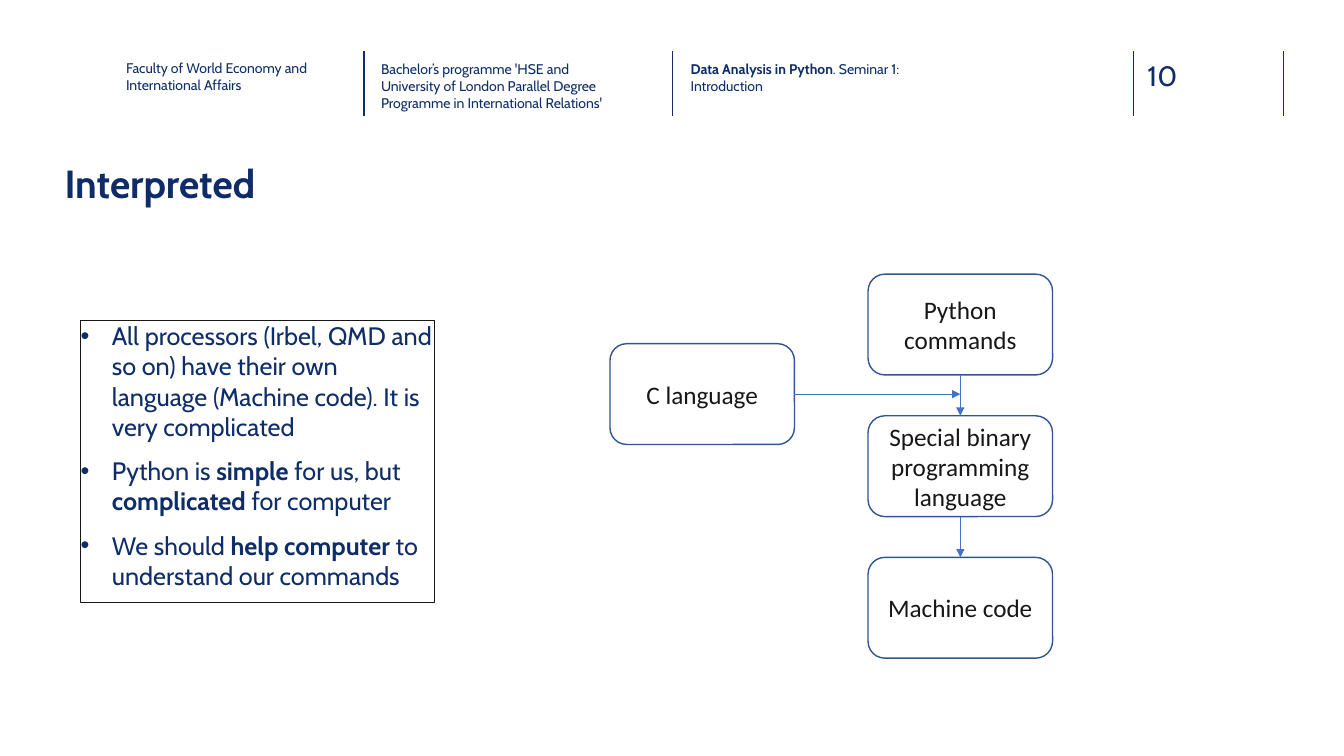
from lxml import etree
from pptx import Presentation
from pptx.dml.color import RGBColor
from pptx.enum.shapes import MSO_CONNECTOR, MSO_SHAPE
from pptx.enum.text import MSO_ANCHOR, PP_ALIGN
from pptx.oxml.ns import qn
from pptx.util import Inches, Pt

STRAIGHT = MSO_CONNECTOR.STRAIGHT
RECT, ROUNDED = MSO_SHAPE.RECTANGLE, MSO_SHAPE.ROUNDED_RECTANGLE
TOP, MIDDLE = MSO_ANCHOR.TOP, MSO_ANCHOR.MIDDLE
LEFT, CENTER = PP_ALIGN.LEFT, PP_ALIGN.CENTER
NAVY, TITLE_NAVY, BODY_NAVY = "102D69", "0F2C68", "0E2D69"
INK, BOX_BLUE, ARROW_BLUE = "181717", "325491", "4472C4"

HEADER_TEXTS = [
    (1.25, 0.59, 2.08, [("Faculty of World Economy and International Affairs", False)]),
    (3.78, 0.6, 2.26, [("Bachelor’s programme 'HSE and University of London Parallel "
                        "Degree Programme in International Relations'", False)]),
    (6.85, 0.6, 2.26, [("Data Analysis in Python", True),
                       (". Seminar 1: Introduction", False)]),
]
BULLETS = [
    [("All processors (Irbel, QMD and so on) have their own language "
      "(Machine code). It is very complicated", False)],
    [("Python is ", False), ("simple", True), (" for us, but ", False),
     ("complicated", True), (" for computer", False)],
    [("We should ", False), ("help computer", True),
     (" to understand our commands", False)],
]
STAGES = ["Python commands", "Special binary programming language", "Machine code"]


def rgb(value):
    return RGBColor.from_string(value)


def add_runs(p, runs, size, color, font="Cabin"):
    for text, bold in runs:
        r = p.add_run()
        r.text = text
        for name, value in {"name": font, "size": Pt(size), "bold": bold}.items():
            setattr(r.font, name, value)
        r.font.color.rgb = rgb(color)


def set_frame(tf, anchor=TOP, bottom=0):
    values = {"word_wrap": True, "vertical_anchor": anchor, "margin_left": 0,
              "margin_right": 0, "margin_top": 0, "margin_bottom": Inches(bottom)}
    for name, value in values.items():
        setattr(tf, name, value)


def add_text(s, x, y, w, h, runs, size, color):
    tf = s.shapes.add_textbox(Inches(x), Inches(y), Inches(w), Inches(h)).text_frame
    set_frame(tf)
    add_runs(tf.paragraphs[0], runs, size, color)


def add_outline(s, kind, x, y, w, h, color, width):
    sp = s.shapes.add_shape(kind, Inches(x), Inches(y), Inches(w), Inches(h))
    sp.shadow.inherit = False
    sp.fill.background()
    sp.line.color.rgb = rgb(color)
    sp.line.width = Pt(width)
    return sp


def add_line(s, x1, y1, x2, y2, color, width, arrow=False):
    line = s.shapes.add_connector(STRAIGHT, Inches(x1), Inches(y1), Inches(x2), Inches(y2))
    line.line.color.rgb = rgb(color)
    line.line.width = Pt(width)
    if arrow:
        etree.SubElement(line.line._get_or_add_ln(), qn("a:tailEnd"), type="triangle")
    etree.SubElement(line._element.spPr, qn("a:effectLst"))
    return line


def add_header(s, y, h):
    for x in (3.61, 6.67, 11.24, 12.73):
        add_line(s, x, y, x, y + h, NAVY, 1)
    for x, top, w, runs in HEADER_TEXTS:
        add_text(s, x, top, w, 0.45, runs, 10, BODY_NAVY)
    add_text(s, 11.38, y + 0.07, 0.73, 0.34, [("10", False)], 20, NAVY)


def add_bullets(s, x, y, w, h):
    tf = add_outline(s, RECT, x, y, w, h, INK, 0.75).text_frame
    set_frame(tf, bottom=0.05)
    for i, runs in enumerate(BULLETS):
        p = tf.add_paragraph() if i else tf.paragraphs[0]
        pPr = p._p.get_or_add_pPr()
        pPr.set("marL", str(Inches(0.31)))
        pPr.set("indent", str(-Inches(0.31)))
        etree.SubElement(pPr, qn("a:buFont"), typeface="Arial")
        etree.SubElement(pPr, qn("a:buChar"), char="•")
        p.alignment = LEFT
        p.space_before = Pt(10 if i else 0)
        add_runs(p, runs, 18, BODY_NAVY)


def add_node(s, x, y, w, h, text):
    sp = add_outline(s, ROUNDED, x, y, w, h, BOX_BLUE, 1)
    tf = sp.text_frame
    tf.word_wrap = True
    tf.vertical_anchor = MIDDLE
    p = tf.paragraphs[0]
    p.alignment = CENTER
    add_runs(p, [(text, False)], 18, INK, "Calibri")
    return sp


def add_flow(s, x, y, w, h):
    node_w, node_h = 1.83, 1
    left, pitch = x + w - node_w, (h - node_h) / 2
    axis = left + node_w / 2
    nodes = [add_node(s, left, y + i * pitch, node_w, node_h, text)
             for i, text in enumerate(STAGES)]
    source = add_node(s, x, y + 0.69, node_w, node_h, "C language")
    for i, (upper, lower) in enumerate(zip(nodes, nodes[1:])):
        top = y + i * pitch + node_h
        arrow = add_line(s, axis, top, axis, y + (i + 1) * pitch, ARROW_BLUE, 0.5, True)
        arrow.begin_connect(upper, 2)
        arrow.end_connect(lower, 0)
    mid = y + 0.69 + node_h / 2
    add_line(s, x + node_w, mid, axis, mid, ARROW_BLUE, 0.5, True).begin_connect(source, 3)


def main():
    prs = Presentation()
    prs.slide_width, prs.slide_height = Inches(13.33), Inches(7.5)
    s = prs.slides.add_slide(prs.slide_layouts[6])
    add_header(s, 0.51, 0.64)
    add_text(s, 0.64, 1.58, 5.74, 0.85, [("Interpreted", True)], 28, TITLE_NAVY)
    add_bullets(s, 0.8, 3.18, 3.51, 2.8)
    add_flow(s, 6.05, 2.72, 4.39, 3.81)
    prs.save("out.pptx")


if __name__ == "__main__":
    main()
